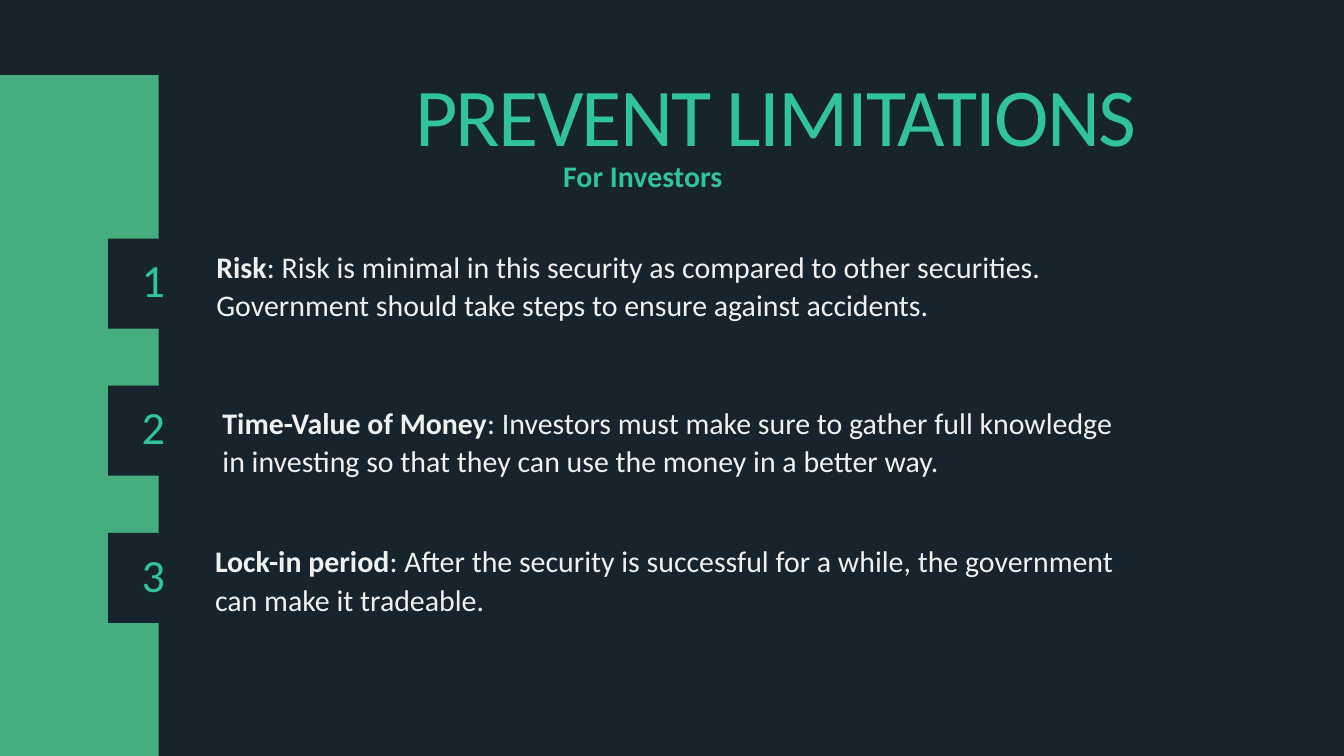
"""Build the slide on preventing limitations for investors."""
from pptx import Presentation
from pptx.dml.color import RGBColor
from pptx.enum.shapes import MSO_SHAPE
from pptx.enum.text import MSO_ANCHOR, MSO_AUTO_SIZE, PP_ALIGN
from pptx.util import Inches, Pt

RECT = MSO_SHAPE.RECTANGLE
TOP = MSO_ANCHOR.TOP
NO_FIT = MSO_AUTO_SIZE.NONE
LEFT, CENTER, RIGHT = PP_ALIGN.LEFT, PP_ALIGN.CENTER, PP_ALIGN.RIGHT

NAVY = RGBColor(0x17, 0x24, 0x2D)
GREEN = RGBColor(0x45, 0xAD, 0x7E)
TEAL = RGBColor(0x31, 0xC2, 0x9F)
IVORY = RGBColor(0xF0, 0xF0, 0xEE)
FONT = "Calibri"

TITLE = "PREVENT LIMITATIONS"
SUBTITLE = "For Investors"
ITEMS = [
    ("Risk", ": Risk is minimal in this security as compared to other securities. "
     "Government should take steps to ensure against accidents.", 3.22, 3.65),
    ("Time-Value of Money", ": Investors must make sure to gather full knowledge "
     "in investing so that they can use the money in a better way.", 3.31, 5.97),
    ("Lock-in period", ": After the security is successful for a while, "
     "the government can make it tradeable.", 3.2, 8.03),
]

WIDTH, HEIGHT = 20, 11.25
BAR_TOP, BAR_WIDTH = 1.12, 2.36
BADGE_LEFT, BADGE_TOP, BADGE_SIZE, BADGE_STEP = 1.61, 3.55, 1.34, 2.19
NUMBER_WIDTH, NUMBER_HEIGHT = 0.91, 0.75
ITEM_WIDTH, ITEM_HEIGHT = 13.65, 1.17


def add_block(slide, x, y, w, h, color):
    sp = slide.shapes.add_shape(RECT, Inches(x), Inches(y), Inches(w), Inches(h))
    sp.shadow.inherit = False
    sp.fill.solid()
    sp.fill.fore_color.rgb = color
    sp.line.fill.background()


def write(sp, runs, size, color, align=LEFT, leading=None, spacing=None):
    tf = sp.text_frame
    tf.word_wrap = True
    tf.auto_size = NO_FIT
    tf.vertical_anchor = TOP
    tf.margin_left = tf.margin_right = tf.margin_top = tf.margin_bottom = 0
    p = tf.paragraphs[0]
    p.alignment = align
    if leading:
        p.line_spacing = Pt(leading)
    for text, bold in runs:
        r = p.add_run()
        r.text = text
        r.font.name = FONT
        r.font.size = Pt(size)
        r.font.bold = bold
        r.font.color.rgb = color
        if spacing:
            r._r.get_or_add_rPr().set("spc", str(round(spacing * 100)))


def add_text(slide, x, y, w, h, *args, **kwargs):
    sp = slide.shapes.add_textbox(Inches(x), Inches(y), Inches(w), Inches(h))
    write(sp, *args, **kwargs)


def main():
    prs = Presentation()
    prs.slide_width, prs.slide_height = Inches(WIDTH), Inches(HEIGHT)
    s = prs.slides.add_slide(prs.slide_layouts[5])
    s.background.fill.solid()
    s.background.fill.fore_color.rgb = NAVY

    add_block(s, 0, BAR_TOP, BAR_WIDTH, HEIGHT - BAR_TOP, GREEN)

    title = s.shapes.title
    title.left, title.top = Inches(2.37), Inches(1.21)
    title.width, title.height = Inches(14.54), Inches(1.33)
    write(title, [(TITLE, False)], 88, TEAL, RIGHT, 88, -1.8)
    add_text(s, 8.38, 2.34, 5.55, 0.54, [(SUBTITLE, True)], 32, TEAL)

    for i, (term, advice, x, y) in enumerate(ITEMS):
        add_text(s, x, y, ITEM_WIDTH, ITEM_HEIGHT, [(term, True), (advice, False)],
                 32, IVORY, leading=41.6)
        top = BADGE_TOP + i * BADGE_STEP
        add_block(s, BADGE_LEFT, top, BADGE_SIZE, BADGE_SIZE, NAVY)
        add_text(s, BADGE_LEFT + (BADGE_SIZE - NUMBER_WIDTH) / 2, top + 0.33,
                 NUMBER_WIDTH, NUMBER_HEIGHT, [(str(i + 1), False)],
                 49.5, TEAL, CENTER, 49.5, -1)

    prs.save("out.pptx")


if __name__ == "__main__":
    main()
